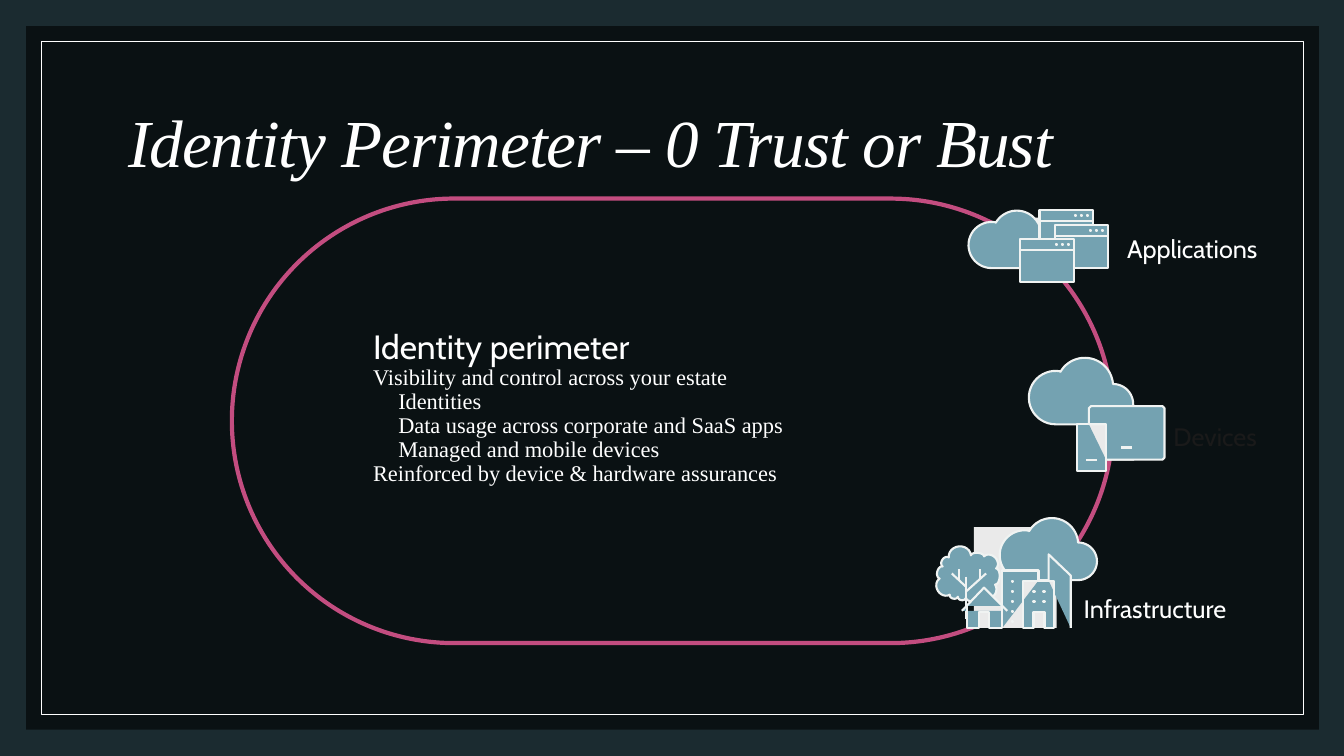
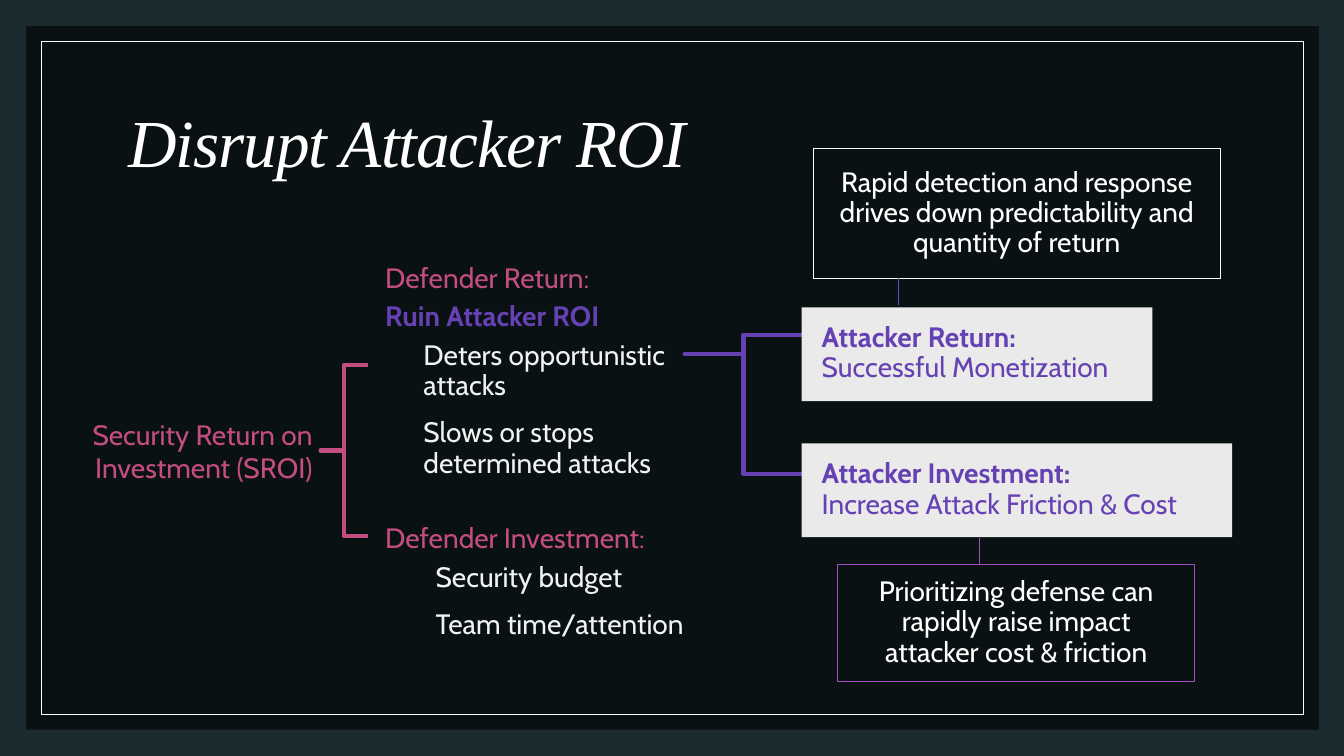
from math import cos, hypot, pi, radians, sin

from lxml import etree
from pptx import Presentation
from pptx.dml.color import RGBColor
from pptx.enum.shapes import MSO_CONNECTOR, MSO_SHAPE
from pptx.enum.text import MSO_ANCHOR, MSO_AUTO_SIZE, PP_ALIGN
from pptx.oxml.ns import qn
from pptx.util import Inches, Pt

RECT, ROUND, BRACE = MSO_SHAPE.RECTANGLE, MSO_SHAPE.ROUNDED_RECTANGLE, MSO_SHAPE.LEFT_BRACE
STRAIGHT, FIXED = MSO_CONNECTOR.STRAIGHT, MSO_AUTO_SIZE.NONE
TOP, MIDDLE = MSO_ANCHOR.TOP, MSO_ANCHOR.MIDDLE
LEFT, CENTER, RIGHT = PP_ALIGN.LEFT, PP_ALIGN.CENTER, PP_ALIGN.RIGHT

COLORS = {
    "back": "1B2B30", "black": "000000", "white": "FFFFFF", "pale": "F0F3F2",
    "panel": "EAEAEA", "icon": "74A2B1", "pink": "C34D80", "violet": "6641B4",
    "orchid": "A44DC3", "blue": "4D58C3", "dark": "1A1A1A",
}
SANS, SERIF = "Cabin", "Times New Roman"
PAD = (0.2, 0.16, 0.2, 0.16)
SLIM = (0.1, 0.05, 0.1, 0.05)


def color(name):
    return RGBColor.from_string(COLORS[name])


def place(shape, box):
    shape.left, shape.top, shape.width, shape.height = map(Inches, box)


def paint(shape, fill=None, line=None, width=0.5):
    shape.shadow.inherit = False
    if fill:
        shape.fill.solid()
        shape.fill.fore_color.rgb = color(fill)
    else:
        shape.fill.background()
    if line:
        shape.line.color.rgb = color(line)
        shape.line.width = Pt(width)
    else:
        shape.line.fill.background()


def draw(slide, kind, box, adjust=(), **look):
    shape = slide.shapes.add_shape(kind, *map(Inches, box))
    for i, value in enumerate(adjust):
        shape.adjustments[i] = value
    paint(shape, **look)
    return shape


# Text

def frame(shape, pad=SLIM, anchor=TOP):
    text = shape.text_frame
    text.word_wrap, text.auto_size, text.vertical_anchor = True, FIXED, anchor
    text.margin_left, text.margin_top, text.margin_right, text.margin_bottom = map(Inches, pad)
    return text


def style(para, size, hue, font=SANS, bold=False, align=LEFT, lead=0.9, after=0, indent=0, level=0):
    para.level, para.alignment = level, align
    para.line_spacing, para.space_before, para.space_after = lead, Pt(0), Pt(after)
    props = para._p.get_or_add_pPr()
    props.set("marL", str(Inches(indent)))
    props.set("indent", "0")
    etree.SubElement(props, qn("a:buNone"))
    face = para.font
    face.name, face.size, face.bold = font, Pt(size), bold
    face.color.rgb = color(hue)


def write(text, items):
    """Fill a text frame with (words, style options) pairs."""
    for i, (words, look) in enumerate(items):
        para = text.paragraphs[0] if i == 0 else text.add_paragraph()
        para.text = words
        style(para, **look)


def label(slide, box, words, size, hue, align=LEFT):
    text = frame(slide.shapes.add_textbox(*map(Inches, box)))
    write(text, [(words, dict(size=size, hue=hue, align=align, lead=1.0))])


def listing(slide, index, box, items, pad=PAD, anchor=TOP):
    body = slide.placeholders[index]
    place(body, box)
    write(frame(body, pad, anchor), items)


def note(slide, box, words, line):
    shape = draw(slide, RECT, box, line=line)
    write(frame(shape, PAD, MIDDLE), [(words, dict(size=20, hue="white", align=CENTER))])


def panel(slide, box, head, words):
    text = frame(draw(slide, RECT, box, fill="panel"), PAD)
    para = text.paragraphs[0]
    style(para, 20, "violet", after=6)
    run = para.add_run()
    run.text, run.font.bold = head, True
    para.add_line_break()
    para.add_run().text = words


def link(slide, x, top, end, hue):
    line = slide.shapes.add_connector(STRAIGHT, Inches(x), Inches(top), Inches(x), Inches(end))
    line.line.color.rgb = color(hue)
    line.line.width = Pt(0.5)
    etree.SubElement(line._element.spPr, qn("a:effectLst"))


# Icons

def trace(slide, paths):
    """Draw several point lists, in inches, as one filled outline."""
    paths = [[(Inches(x), Inches(y)) for x, y in path] for path in paths]
    pen = slide.shapes.build_freeform(*paths[0][0])
    for i, path in enumerate(paths):
        if i:
            pen.move_to(*path[0])
        pen.add_line_segments(path[1:], close=False)
    paint(pen.convert_to_shape(), "icon", "pale", 1.5)


def box_path(x, y, w, h):
    return [(x, y), (x + w, y), (x + w, y + h), (x, y + h), (x, y)]


def dot(x, y):
    return box_path(x, y, 0.01, 0.01)


def cloud(slide, x, y, width):
    scale, path = width / 1.03, []
    lobes = [(0.26, 0.395, 0.265, 90, 281), (0.55, 0.28, 0.28, 210, 356),
             (0.83, 0.46, 0.2, 272, 450)]
    for cx, cy, r, start, end in lobes:
        for i in range(25):
            turn = radians(start + (end - start) * i / 24)
            path.append((x + scale * (cx + r * cos(turn)), y + scale * (cy + r * sin(turn))))
    trace(slide, [path + path[:1]])


def window(slide, x, y):
    w, h, bar = 0.53, 0.43, 0.11
    dots = [dot(x + dx, y + 0.05) for dx in (0.35, 0.41, 0.47)]
    trace(slide, [box_path(x, y, w, h), [(x, y + bar), (x + w, y + bar)], *dots])


def tree(slide):
    # Each crown lobe starts at x, y and bulges by the third number
    lobes = [(9.88, 5.64, 0.07), (9.76, 5.52, 0.03), (9.63, 5.51, 0.1), (9.41, 5.53, 0.04),
             (9.35, 5.62, 0.04), (9.32, 5.74, 0.08), (9.42, 5.9, 0.03), (9.5, 5.92, 0.03),
             (9.58, 5.93, 0.05), (9.71, 5.9, 0.09), (9.87, 5.8, 0.04)]
    crown = []
    for (x, y, bulge), (nx, ny, _) in zip(lobes, lobes[1:] + lobes[:1]):
        dx, dy = nx - x, ny - y
        span = hypot(dx, dy)
        for i in range(13):
            part, out = (1 - cos(pi * i / 12)) / 2, bulge * sin(pi * i / 12) / span
            crown.append((x + part * dx - out * dy, y + part * dy + out * dx))
    trace(slide, [crown, [(9.58, 5.72), (9.58, 6.14)], [(9.78, 5.69), (9.58, 5.87)],
                  [(9.58, 5.82), (9.44, 5.69)], [(9.51, 5.65), (9.51, 5.76)],
                  [(9.72, 5.65), (9.72, 5.74)]])


def towers(slide):
    base = 6.23
    front = [(10.45, 5.76), (10.45, base), (10.36, base), (10.36, 6.07), (10.25, 6.07),
             (10.25, base), (10.15, base), (10.15, 5.76), (10.45, 5.76)]
    back = [(10.3, 5.76), (10.3, 5.66), (9.94, 5.66), (9.94, base)]
    side = [(10.62, base), (10.62, 5.71), (10.4, 5.5), (10.4, 5.76)]
    panes = [dot(10.04, 5.76 + 0.1 * i) for i in range(5)]
    panes += [dot(x, y) for x in (10.25, 10.35) for y in (5.86, 5.96)]
    trace(slide, [front, back, side, *panes])


def house(slide):
    base = 6.23
    trace(slide, [[(9.54, 6.06), (9.76, 5.83), (9.99, 6.06)],
                  [(9.59, 6.01), (9.59, base), (9.71, base), (9.71, 6.07),
                   (9.81, 6.07), (9.81, base), (9.94, base), (9.94, 6.01)]])


def devices(slide):
    laptop = [(10.97, 4.56), (11.53, 4.56), (11.55, 4.54), (11.55, 4.05), (11.53, 4.03),
              (10.82, 4.03), (10.8, 4.05), (10.8, 4.21)]
    trace(slide, [box_path(10.68, 4.21, 0.29, 0.46), [(10.77, 4.56), (10.88, 4.56)],
                  [(11.12, 4.44), (11.23, 4.44)], laptop])


# Shared look and slides

def dress(deck, slide):
    """Set the master's background, frame and title place."""
    master = deck.slide_master
    master.background.fill.solid()
    master.background.fill.fore_color.rgb = color("back")
    place(master.placeholders[0], (1.17, 0.7, 11, 1.5))
    band = draw(slide, RECT, (0.26, 0.26, 12.82, 6.98), fill="black")
    tint = band._element.spPr.find(qn("a:solidFill"))[0]
    etree.SubElement(tint, qn("a:alpha")).set("val", "60000")
    edge = draw(slide, RECT, (0.41, 0.41, 12.52, 6.68), line="white")
    for i, shape in enumerate((band, edge)):
        shape._element.nvSpPr.cNvPr.set("id", str(20 + i))
        master.shapes._spTree.insert(2 + i, shape._element)


def begin(deck, layout, words):
    slide = deck.slides.add_slide(deck.slide_layouts[layout])
    text = frame(slide.shapes.title, anchor=MIDDLE)
    write(text, [(words, dict(size=48, hue="white", font=SERIF))])
    para = text.paragraphs[0]
    para.font.italic = True
    para.runs[0]._r.get_or_add_rPr().set("spc", "-70")
    return slide


def perimeter(slide):
    draw(slide, ROUND, (2.3, 1.97, 8.74, 4.41), [0.5], line="pink", width=3)
    for box in ((9.66, 5.23, 0.82, 1), (10.18, 2.16, 0.58, 0.48), (10.78, 4.03, 0.47, 0.54)):
        draw(slide, RECT, box, fill="panel")

    # Infrastructure, devices and applications
    tree(slide)
    cloud(slide, 9.92, 5.14, 0.96)
    towers(slide)
    house(slide)
    cloud(slide, 10.21, 3.55, 1.03)
    devices(slide)
    cloud(slide, 9.61, 2.09, 0.89)
    for spot in ((10.31, 2.08), (10.46, 2.23), (10.12, 2.37)):
        window(slide, *spot)
    for words, x, y, w, hue in (("Infrastructure", 10.65, 5.84, 2.08, "white"),
                                ("Applications", 11.08, 2.27, 1.76, "white"),
                                ("Devices", 11.54, 4.13, 1.3, "dark")):
        label(slide, (x, y, w, 0.4), words, 18, hue)

    main = dict(size=16, hue="white", font=SERIF)
    sub = dict(main, indent=0.25, level=1)
    listing(slide, 1, (3.4, 3.02, 5.42, 2.02), [
        ("Identity perimeter", dict(size=24, hue="white", lead=1.0)),
        ("Visibility and control across your estate", main),
        ("Identities", sub),
        ("Data usage across corporate and SaaS apps", sub),
        ("Managed and mobile devices", sub),
        ("Reinforced by device & hardware assurances", main),
    ], (0.3, 0.2, 0.1, 0.2), MIDDLE)


def returns(slide):
    # Defender side
    head = dict(size=20, hue="pink", after=6)
    sub = dict(size=20, hue="pale", after=12, level=1)
    draw(slide, BRACE, (3.18, 3.62, 0.47, 1.7), [0, 0.5], line="pink", width=3)
    listing(slide, 2, (3.62, 5.04, 3.75, 1.48), [
        ("Defender Investment:", head),
        ("Security budget", dict(sub, indent=0.5)),
        ("Team time/attention", dict(sub, indent=0.5)),
    ])
    listing(slide, 1, (3.62, 2.46, 3.75, 2.48), [
        ("Defender Return:", head),
        ("Ruin Attacker ROI", dict(head, hue="violet", bold=True)),
        ("Deters opportunistic attacks", dict(sub, indent=0.38)),
        ("Slows or stops determined attacks", dict(sub, indent=0.38)),
    ])
    label(slide, (0.14, 4.09, 3.06, 0.77), "Security Return on Investment (SROI)", 20, "pink", RIGHT)

    # Attacker side
    note(slide, (8.31, 5.6, 3.54, 1.16),
         "Prioritizing defense can rapidly raise impact attacker cost & friction", "orchid")
    draw(slide, BRACE, (6.79, 3.32, 1.17, 1.38), [0, 0.137], line="violet", width=3)
    panel(slide, (7.95, 4.4, 4.27, 0.93), "Attacker Investment:", "Increase Attack Friction & Cost")
    panel(slide, (7.95, 3.05, 3.48, 0.93), "Attacker Return:", "Successful Monetization")
    note(slide, (8.07, 1.47, 4.03, 1.29),
         "Rapid detection and response drives down predictability and quantity of return", "white")
    link(slide, 8.91, 2.76, 3.03, "blue")
    link(slide, 9.71, 5.34, 5.6, "orchid")


def main():
    deck = Presentation()
    deck.slide_width, deck.slide_height = Inches(13.33), Inches(7.5)
    first = begin(deck, 1, "Identity Perimeter – 0 Trust or Bust")
    dress(deck, first)
    perimeter(first)
    returns(begin(deck, 3, "Disrupt Attacker ROI"))
    deck.save("out.pptx")


if __name__ == "__main__":
    main()
